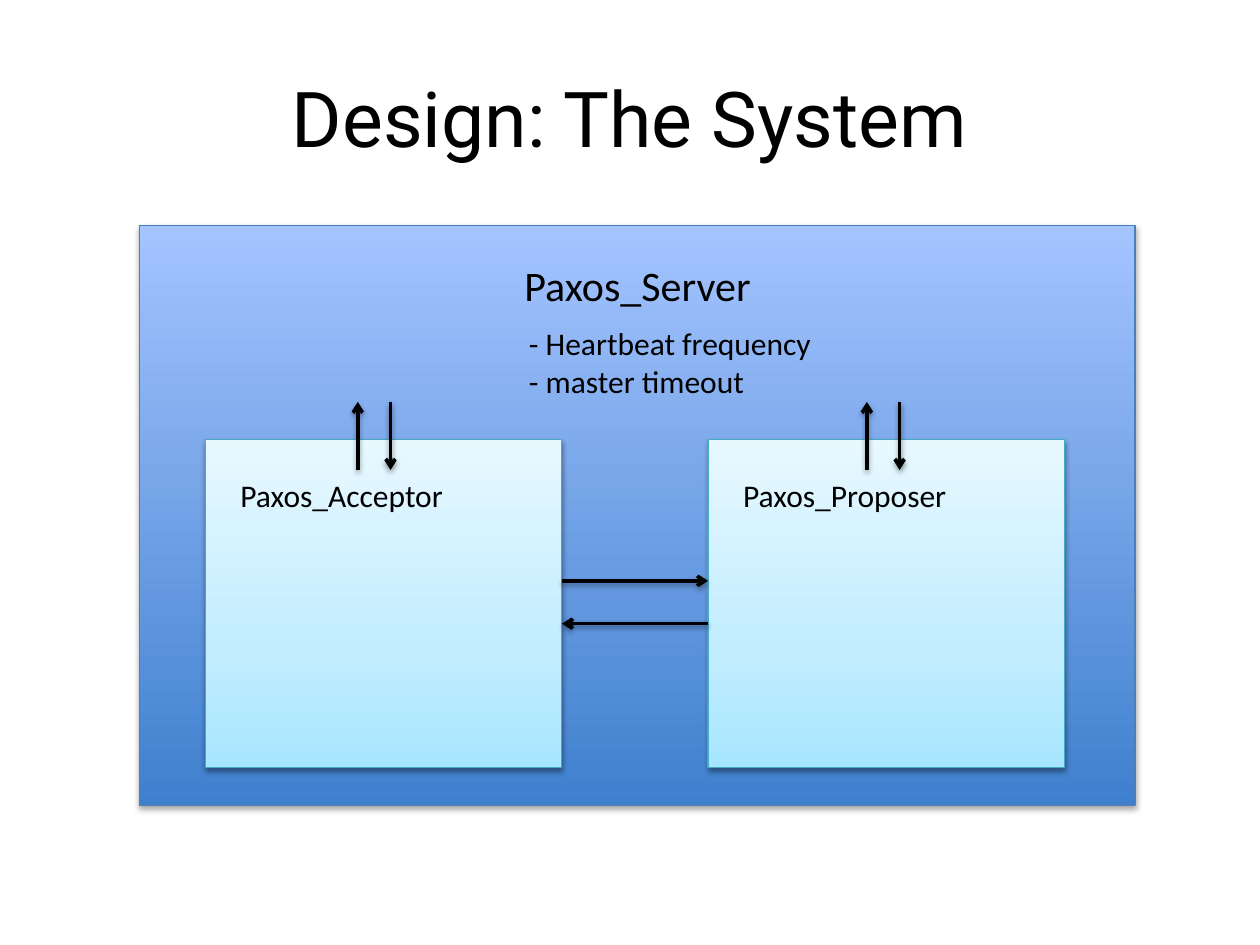
from dataclasses import dataclass
from lxml.etree import SubElement
from pptx import Presentation
from pptx.dml.color import RGBColor
from pptx.enum.shapes import MSO_CONNECTOR, MSO_SHAPE
from pptx.enum.text import MSO_ANCHOR, PP_ALIGN
from pptx.oxml.ns import qn
from pptx.util import Inches, Pt


@dataclass(frozen=True)
class Theme:
    ink: str = "000000"
    server_fill: tuple = ((0, "3F80CE"), (100, "A4C4FF"))
    server_line: str = "4B7EBC"
    module_fill: tuple = ((0, "A7E6FF"), (35, "C1EDFF"), (100, "E7F8FF"))
    module_line: str = "46AAC5"
    title_font: str = "Roboto"
    body_font: str = "Calibri"
    title_size: int = 44
    heading_size: int = 24
    body_size: int = 18


THEME = Theme()


def set_line(sp, color, width):
    sp.line.color.rgb = RGBColor.from_string(color)
    sp.line.width = Pt(width)


def add_shadow(sp, opacity=38, dist=1.6):
    effects = SubElement(sp._element.spPr, qn("a:effectLst"))
    shadow = SubElement(effects, qn("a:outerShdw"), blurRad=str(Pt(3.1)),
                        dist=str(Pt(dist)), dir="5400000", rotWithShape="0")
    color = SubElement(shadow, qn("a:srgbClr"), val=THEME.ink)
    SubElement(color, qn("a:alpha"), val=str(opacity * 1000))


def add_box(shapes, left, top, width, height, stops, line, **shadow):
    sp = shapes.add_shape(MSO_SHAPE.RECTANGLE, Inches(left), Inches(top),
                          Inches(width), Inches(height))
    sp.fill.gradient()
    sp.fill.gradient_angle = 90
    # Replace the default stops with the theme's
    stop_list = sp._element.spPr.find(qn("a:gradFill")).find(qn("a:gsLst"))
    for stop in list(stop_list):
        stop_list.remove(stop)
    for position, color in stops:
        stop = SubElement(stop_list, qn("a:gs"), pos=str(position * 1000))
        SubElement(stop, qn("a:srgbClr"), val=color)
    set_line(sp, line, 0.75)
    add_shadow(sp, **shadow)


def add_text(shapes, left, top, width, height, text, size=THEME.body_size,
             font=THEME.body_font, align=PP_ALIGN.LEFT, anchor=MSO_ANCHOR.TOP):
    sp = shapes.add_textbox(Inches(left), Inches(top), Inches(width), Inches(height))
    tf = sp.text_frame
    tf.word_wrap = True
    tf.vertical_anchor = anchor
    tf.text = text
    for p in tf.paragraphs:
        p.alignment = align
        for r in p.runs:
            r.font.size = Pt(size)
            r.font.name = font
            r.font.color.rgb = RGBColor.from_string(THEME.ink)


def add_arrow(shapes, x1, y1, x2, y2):
    sp = shapes.add_connector(MSO_CONNECTOR.STRAIGHT, Inches(x1), Inches(y1),
                              Inches(x2), Inches(y2))
    set_line(sp, THEME.ink, 2)
    SubElement(sp.line._get_or_add_ln(), qn("a:tailEnd"), type="arrow")
    add_shadow(sp)


def add_module(slide, left, name):
    shapes = slide.shapes.add_group_shape().shapes
    add_box(shapes, left, 3.49, 2.83, 2.6, THEME.module_fill, THEME.module_line)
    add_text(shapes, left + 0.18, 3.73, 2.5, 0.4, name)


def add_exchange(slide, left, top=3.19, bottom=3.73, gap=0.26):
    shapes = slide.shapes.add_group_shape().shapes
    add_arrow(shapes, left, bottom, left, top)
    add_arrow(shapes, left + gap, top, left + gap, bottom)


def main():
    prs = Presentation()
    prs.slide_width, prs.slide_height = Inches(10), Inches(7.5)
    slide = prs.slides.add_slide(prs.slide_layouts[6])
    shapes = slide.shapes

    # Title
    add_text(shapes, 0.5, 0.3, 9, 1.25, "Design: The System", THEME.title_size,
             THEME.title_font, PP_ALIGN.CENTER, MSO_ANCHOR.MIDDLE)

    # Server
    add_box(shapes, 1.11, 1.79, 7.9, 4.6, THEME.server_fill, THEME.server_line,
            opacity=35, dist=1.8)
    add_text(shapes, 2.84, 2.01, 4.44, 0.5, "Paxos_Server", THEME.heading_size,
             align=PP_ALIGN.CENTER)

    # Modules inside the server
    for left, name in ((1.63, "Paxos_Acceptor"), (5.62, "Paxos_Proposer")):
        add_module(slide, left, name)
    add_text(shapes, 4.1, 2.52, 3.04, 1.01, "- Heartbeat frequency\n- master timeout")

    # Messages between the modules
    add_arrow(shapes, 4.46, 4.61, 5.62, 4.61)
    add_arrow(shapes, 5.62, 4.95, 4.46, 4.95)

    # Messages between each module and the server
    for left in (6.88, 2.84):
        add_exchange(slide, left)

    prs.save("out.pptx")


main()
